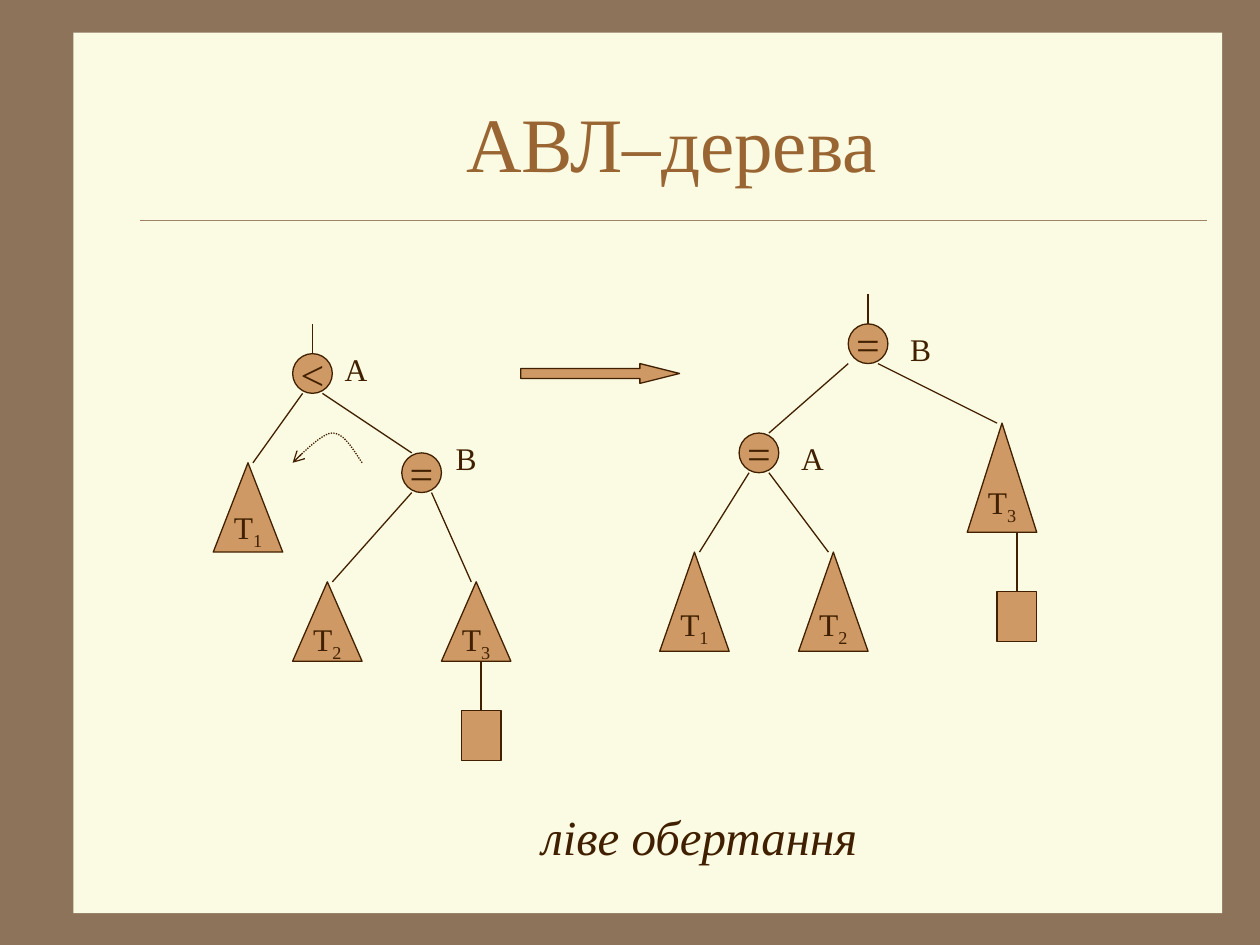
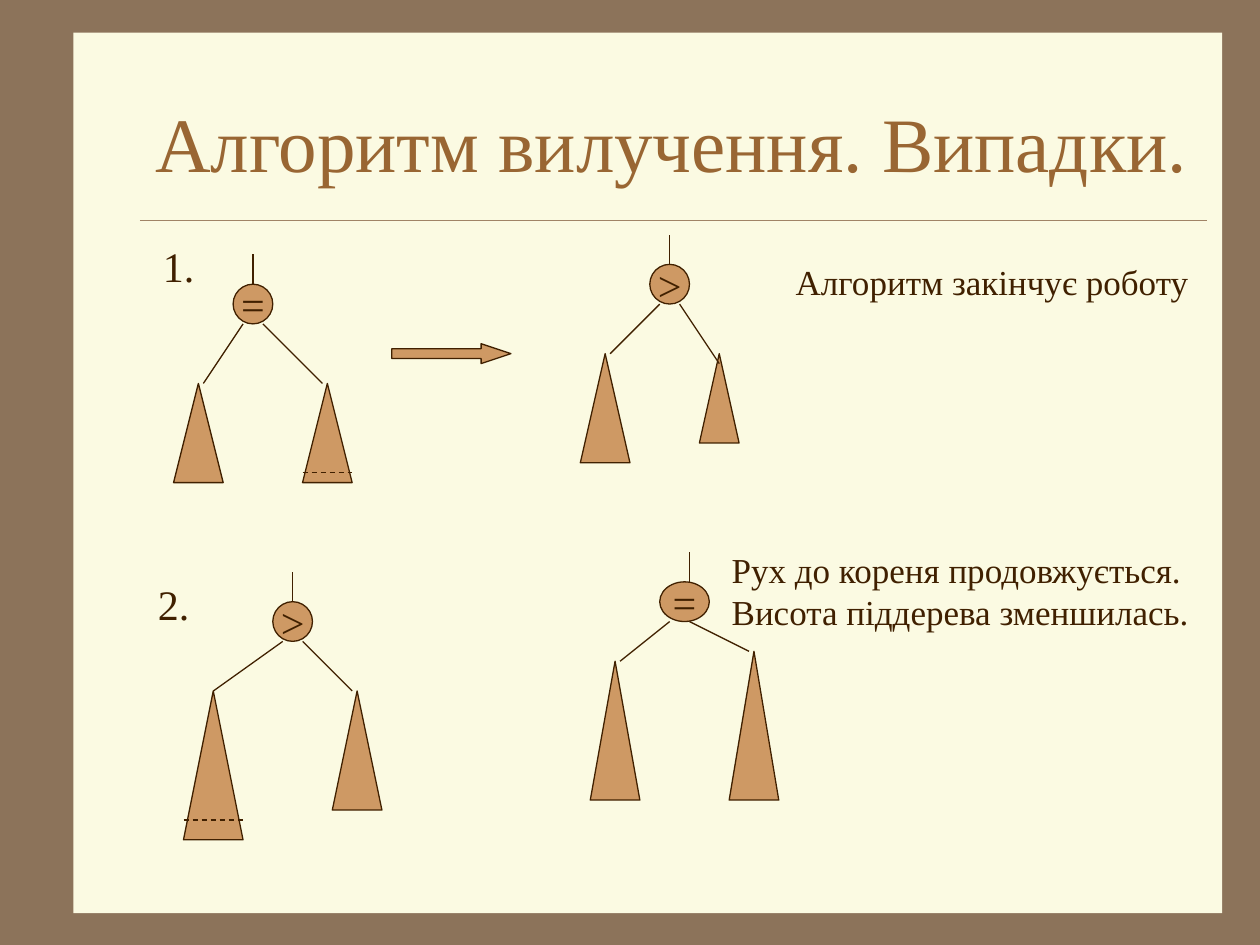
from lxml import etree
from pptx import Presentation
from pptx.dml.color import RGBColor
from pptx.enum.dml import MSO_LINE
from pptx.enum.shapes import MSO_CONNECTOR, MSO_SHAPE
from pptx.enum.text import MSO_ANCHOR, MSO_AUTO_SIZE, PP_ALIGN
from pptx.oxml.ns import qn
from pptx.util import Cm, Pt

OVAL, CONE, BOX, ARROW = (MSO_SHAPE.OVAL, MSO_SHAPE.ISOSCELES_TRIANGLE,
                          MSO_SHAPE.RECTANGLE, MSO_SHAPE.RIGHT_ARROW)
STRAIGHT = MSO_CONNECTOR.STRAIGHT
DASH, DOTS = MSO_LINE.DASH, MSO_LINE.ROUND_DOT
MIDDLE, NO_FIT = MSO_ANCHOR.MIDDLE, MSO_AUTO_SIZE.NONE
LEFT, CENTER = PP_ALIGN.LEFT, PP_ALIGN.CENTER


class Theme:
    font = "Times New Roman"
    frame = RGBColor.from_string("8C735A")
    paper = RGBColor.from_string("FBFAE2")
    rule = RGBColor.from_string("A08366")
    title = RGBColor.from_string("996633")
    ink = RGBColor.from_string("402000")
    node = RGBColor.from_string("CE9964")
    title_size, caption_size, sign_size = Pt(44), Pt(28), Pt(24)
    note_size, label_size = Pt(20), Pt(18)
    thin, hair = Pt(0.75), Pt(0.25)


def write(frame, text, size, color=Theme.ink, align=CENTER, slant=False, sub=""):
    """Fill a text frame with one paragraph, with an optional subscript."""
    par = frame.paragraphs[0]
    par.text = text
    par.alignment = align
    if sub:
        low = par.add_run()
        low.text = sub
        low.font._element.set("baseline", "-25000")
    for run in par.runs:
        run.font.name = Theme.font
        run.font.size = size
        run.font.color.rgb = color
        run.font.italic = slant


def rule(slide, x1, y1, x2, y2, color=Theme.ink, width=Theme.thin, dash=None):
    """Draw a straight line without a shadow."""
    line = slide.shapes.add_connector(STRAIGHT, Cm(x1), Cm(y1), Cm(x2), Cm(y2))
    line.line.color.rgb = color
    line.line.width = width
    if dash:
        line.line.dash_style = dash
    etree.SubElement(line._element.spPr, qn("a:effectLst"))
    return line


# Each page: signs (x, y, width, sign), cones (x, y, width, height, index),
# leaves (x, y), arrow (x, y, width, head), edges and cuts (x1, y1, x2, y2),
# notes (x, y, width, height, text, size, align, slant)
pages = [
    dict(
        title="АВЛ–дерева",
        signs=[(5.9, 7.13, 0.8, "<"), (8.1, 9.13, 0.8, "="),
               (17.1, 6.53, 0.8, "="), (14.9, 8.73, 0.8, "=")],
        cones=[(4.3, 9.33, 1.4, 1.8, "1"), (5.9, 11.73, 1.4, 1.6, "2"),
               (8.9, 11.73, 1.4, 1.6, "3"), (13.3, 11.13, 1.4, 2, "1"),
               (16.1, 11.13, 1.4, 2, "2"), (19.5, 8.53, 1.4, 2.2, "3")],
        leaves=[(9.3, 14.33), (20.1, 11.93)],
        arrow=(10.5, 7.33, 3.2, 2),
        edges=[(6.3, 7.13, 6.3, 6.53), (5.1, 9.33, 6.1, 7.93),
               (6.5, 7.93, 8.3, 9.13), (6.7, 11.73, 8.3, 9.93),
               (8.7, 9.93, 9.5, 11.73), (9.7, 13.33, 9.7, 14.33),
               (17.5, 6.53, 17.5, 5.93), (17.1, 7.33, 15.5, 8.73),
               (14.1, 11.13, 15.1, 9.53), (15.5, 9.53, 16.7, 11.13),
               (17.7, 7.33, 20.1, 8.53), (20.5, 10.73, 20.5, 11.93)],
        cuts=[],
        notes=[(6.7, 6.93, 0.8, 1.02, "A", Theme.label_size, CENTER, False),
               (8.9, 8.73, 1, 1.02, "B", Theme.label_size, CENTER, False),
               (18.1, 6.53, 0.8, 1.02, "B", Theme.label_size, CENTER, False),
               (15.9, 8.73, 0.86, 1.02, "A", Theme.label_size, CENTER, False),
               (9.7, 16.13, 8.8, 1.45, "ліве обертання",
                Theme.caption_size, CENTER, True)],
    ),
    dict(
        title="Алгоритм вилучення. Випадки.",
        signs=[(4.7, 5.73, 0.8, "="), (13.1, 5.33, 0.8, ">"),
               (5.5, 12.13, 0.8, ">"), (13.3, 11.73, 1, "=")],
        cones=[(3.5, 7.73, 1, 2, ""), (6.1, 7.73, 1, 2, ""),
               (11.7, 7.13, 1, 2.2, ""), (14.1, 7.13, 0.8, 1.8, ""),
               (3.7, 13.93, 1.2, 3, ""), (6.7, 13.93, 1, 2.4, ""),
               (11.9, 13.33, 1, 2.8, ""), (14.7, 13.13, 1, 3, "")],
        leaves=[],
        arrow=(7.9, 6.93, 2.4, 1.5),
        edges=[(5.1, 5.73, 5.1, 5.13), (4.9, 6.53, 4.1, 7.73),
               (5.3, 6.53, 6.5, 7.73), (13.5, 5.33, 13.5, 4.73),
               (13.3, 6.13, 12.3, 7.13), (13.7, 6.13, 14.5, 7.33),
               (5.9, 12.13, 5.9, 11.53), (5.7, 12.93, 4.3, 13.93),
               (6.1, 12.93, 7.1, 13.93), (13.9, 11.73, 13.9, 11.13),
               (13.5, 12.53, 12.5, 13.33), (13.9, 12.53, 15.1, 13.13)],
        cuts=[(6.1, 9.53, 7.1, 9.53), (3.7, 16.53, 4.9, 16.53)],
        notes=[(2.9, 4.73, 1.4, 1.27, "1.", Theme.sign_size, CENTER, False),
               (2.9, 11.53, 1.2, 1.27, "2.", Theme.sign_size, CENTER, False),
               (15.7, 5.13, 8.6, 1.12, "Алгоритм закінчує роботу",
                Theme.note_size, CENTER, False),
               (14.5, 10.93, 10, 1.95,
                "Рух до кореня продовжується.\vВисота піддерева зменшилась.",
                Theme.note_size, LEFT, False)],
    ),
]

deck = Presentation()
deck.slide_width, deck.slide_height = Cm(25.4), Cm(19.05)
layout = deck.slide_layouts[5]
slides = [deck.slides.add_slide(layout) for page in pages]

# Frame, paper and title rule live on the master
master = deck.slide_master
master.background.fill.solid()
master.background.fill.fore_color.rgb = Theme.frame
paper = slides[0].shapes.add_shape(BOX, Cm(1.48), Cm(0.66), Cm(23.16), Cm(17.75))
paper.shadow.inherit = False
paper.fill.solid()
paper.fill.fore_color.rgb = Theme.paper
paper.line.fill.background()
stroke = rule(slides[0], 2.82, 4.44, 24.34, 4.44, Theme.rule, Theme.hair)
for place, part in enumerate((paper, stroke), 2):
    master.shapes.element.insert(place, part._element)

for slide, page in zip(slides, pages):
    title = slide.shapes.title
    title.left, title.top = Cm(2.74), Cm(1.27)
    title.width, title.height = Cm(21.6), Cm(3.17)
    title.text_frame.auto_size = NO_FIT
    title.text_frame.vertical_anchor = MIDDLE
    write(title.text_frame, page["title"], Theme.title_size, Theme.title)

    items = [(OVAL, x, y, w, 0.8, sign, "") for x, y, w, sign in page["signs"]]
    items += [(CONE, x, y, w, h, "T" if sub else "", sub)
              for x, y, w, h, sub in page["cones"]]
    items += [(BOX, x, y, 0.8, 1, "", "") for x, y in page["leaves"]]
    x, y, w, head = page["arrow"]
    items.append((ARROW, x, y, w, 0.4, "", ""))
    for kind, x, y, w, h, text, sub in items:
        shape = slide.shapes.add_shape(kind, Cm(x), Cm(y), Cm(w), Cm(h))
        shape.shadow.inherit = False
        shape.fill.solid()
        shape.fill.fore_color.rgb = Theme.node
        shape.line.color.rgb = Theme.ink
        shape.line.width = Theme.thin
        if kind == ARROW:
            shape.adjustments[1] = head
        if text:
            shape.text_frame.word_wrap = False
            shape.text_frame.vertical_anchor = MIDDLE
            size = Theme.label_size if sub else Theme.sign_size
            write(shape.text_frame, text, size, sub=sub)

    for edge in page["edges"]:
        rule(slide, *edge)
    for cut in page["cuts"]:
        rule(slide, *cut, dash=DASH)

    for x, y, w, h, text, size, align, slant in page["notes"]:
        note = slide.shapes.add_textbox(Cm(x), Cm(y), Cm(w), Cm(h))
        note.text_frame.word_wrap = True
        write(note.text_frame, text, size, align=align, slant=slant)

# Dotted turn arrow: two cubic curves, each sampled in equal steps
curves = [((7.3, 9.33), (7.1, 9.03), (6.93, 8.73), (6.7, 8.73)),
          ((6.7, 8.73), (6.48, 8.73), (6.02, 9.22), (5.9, 9.33))]
steps = 12
points = []
for curve in curves:
    for step in range(1, steps + 1):
        t = step / steps
        parts = ((1 - t) ** 3, 3 * t * (1 - t) ** 2, 3 * t * t * (1 - t), t ** 3)
        points.append([Cm(sum(k * p[axis] for k, p in zip(parts, curve)))
                       for axis in (0, 1)])
start = curves[0][0]
path = slides[0].shapes.build_freeform(Cm(start[0]), Cm(start[1]))
path.add_line_segments(points, close=False)
turn = path.convert_to_shape()
turn.shadow.inherit = False
turn.fill.background()
turn.line.color.rgb = Theme.ink
turn.line.width = Theme.thin
turn.line.dash_style = DOTS
etree.SubElement(turn.line._get_or_add_ln(), qn("a:tailEnd"), type="arrow")

deck.save("out.pptx")
